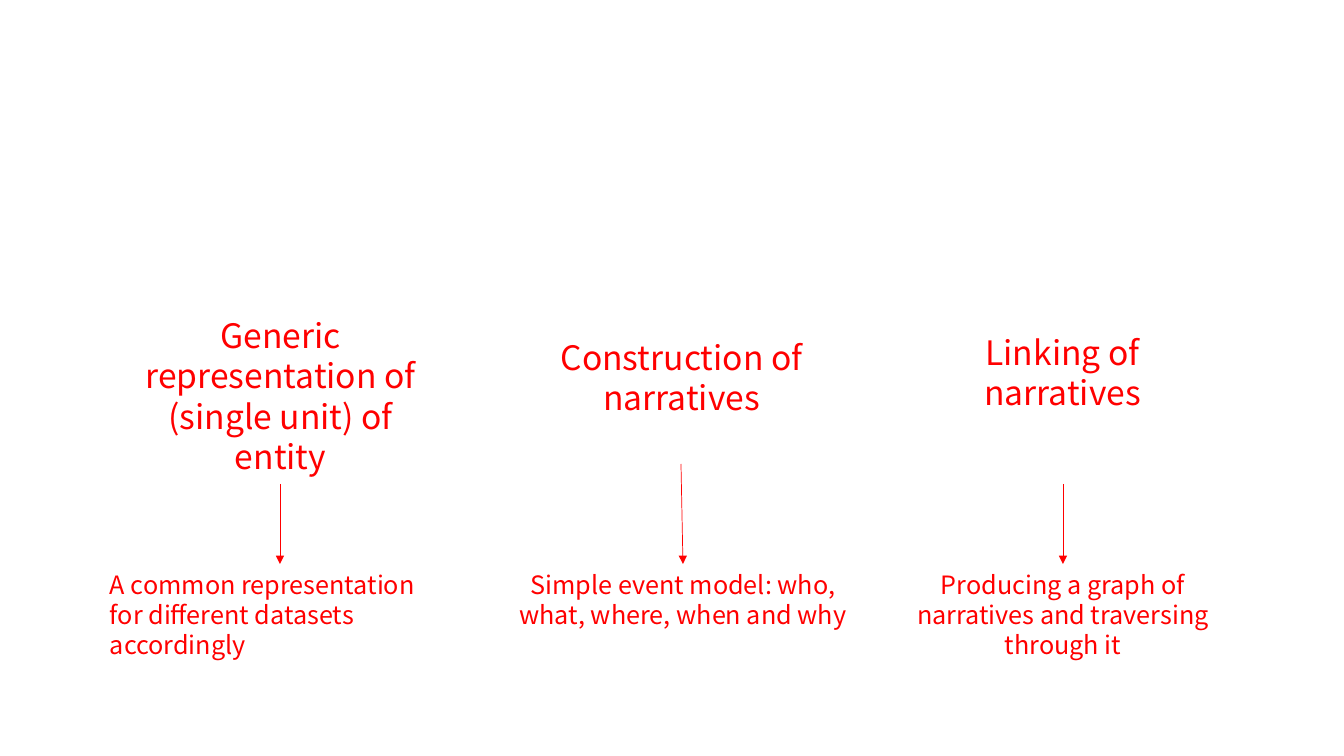
from pptx import Presentation
from pptx import util as u
from pptx.dml.color import RGBColor
from pptx.enum import shapes, text
from pptx.oxml.ns import qn
from lxml import etree

SCALE = 914400 / 100.8
FONT = "Noto Sans CJK SC"
COLORS = {"red": "FF0000"}
LEFT, CENTER = text.PP_ALIGN.LEFT, text.PP_ALIGN.CENTER
NOTE_TOP = 564

# Each step: heading (text, box), arrow (start, end x), note (text, left, align)
STEPS = [
    (("Generic representation of (single unit) of entity", (129, 310, 303, 173)),
     ((280, 484), 280),
     ("A common representation for different datasets accordingly", 100, LEFT)),
    (("Construction of narratives", (530, 332, 303, 132)),
     ((681, 464), 683),
     ("Simple event model: who, what, where, when and why", 502, CENTER)),
    (("Linking of narratives", (911, 327, 303, 92)),
     ((1063, 484), 1063),
     ("Producing a graph of narratives and traversing through it", 882, CENTER)),
]


def px(n):
    return u.Emu(round(n * SCALE))


def color(name):
    return RGBColor.from_string(COLORS[name])


def add_text(slide, words, box, size, align=CENTER):
    frame = slide.shapes.add_textbox(*map(px, box)).text_frame
    frame.word_wrap = True
    frame.auto_size = text.MSO_AUTO_SIZE.SHAPE_TO_FIT_TEXT
    frame.text = words
    para = frame.paragraphs[0]
    para.alignment = align
    font = para.runs[0].font
    font.name, font.size = FONT, u.Pt(size)
    font.color.rgb = color("red")


def add_arrow(slide, start, end):
    arrow = slide.shapes.add_connector(
        shapes.MSO_CONNECTOR.STRAIGHT, *map(px, start + end))
    arrow.line.color.rgb = color("red")
    arrow.line.width = u.Pt(0.5)
    line = arrow.line._get_or_add_ln()
    etree.SubElement(line, qn("a:tailEnd"), type="triangle")
    etree.SubElement(arrow._element.spPr, qn("a:effectLst"))


def main():
    deck = Presentation()
    deck.slide_width, deck.slide_height = px(1344), px(756)
    slide = deck.slides.add_slide(deck.slide_layouts[6])

    # Three columns: heading, arrow down, note
    for (head, box), (start, tip), (note, left, align) in STEPS:
        add_text(slide, head, box, 24)
        add_arrow(slide, start, (tip, NOTE_TOP))
        add_text(slide, note, (left, NOTE_TOP, 362, 102), 18, align)

    deck.save("out.pptx")


main()
